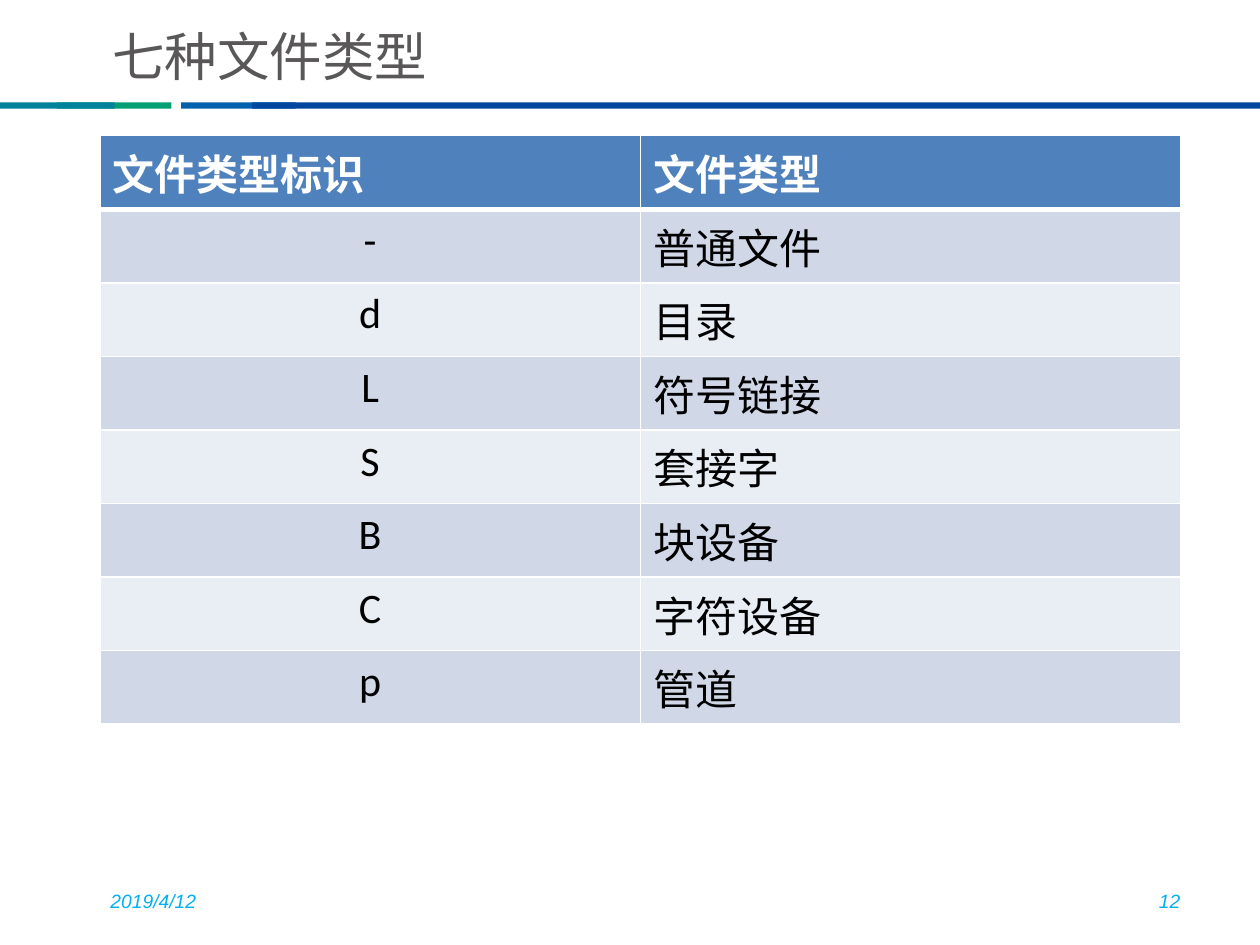
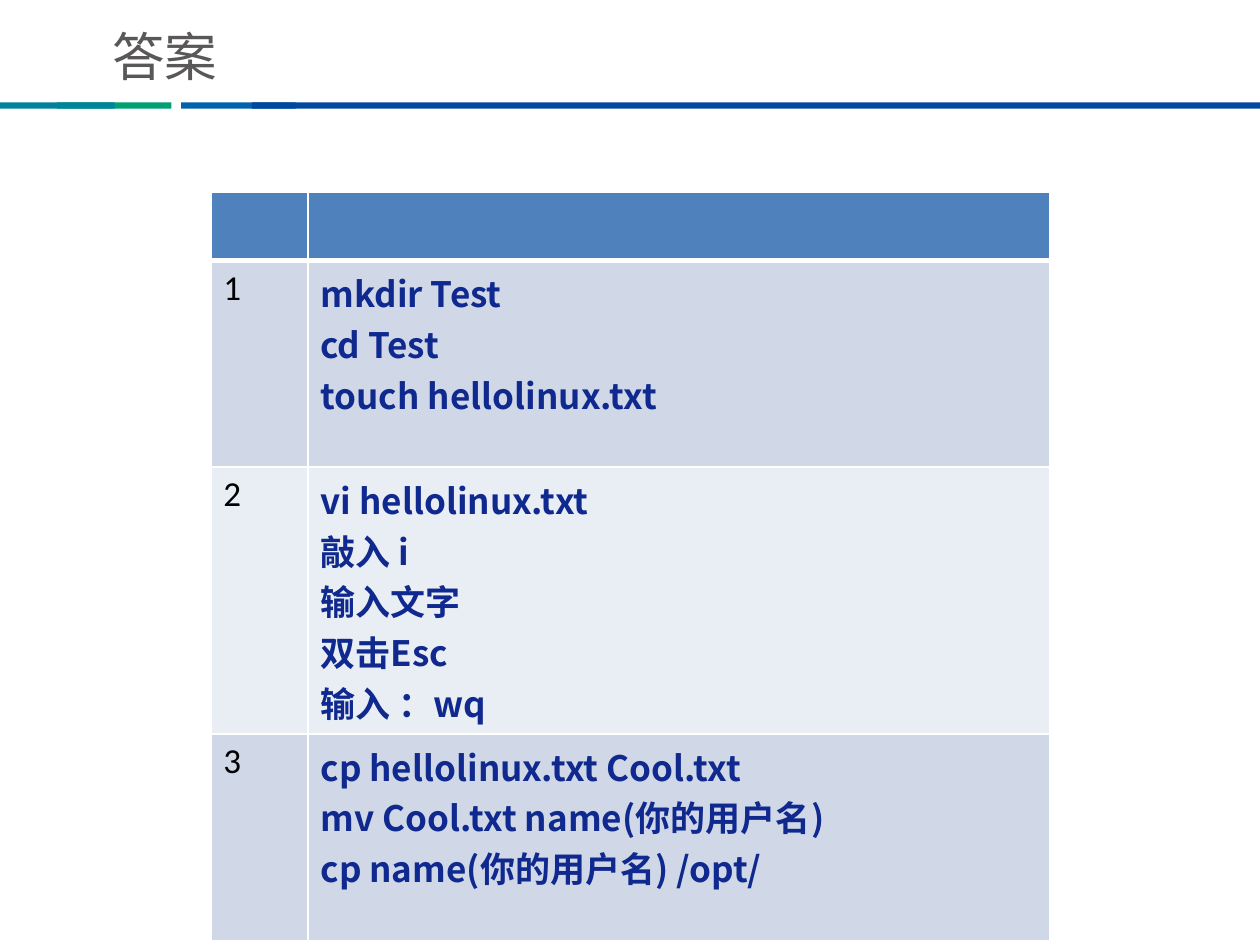
from dataclasses import dataclass

from lxml import etree
from pptx import Presentation
from pptx.dml.color import RGBColor
from pptx.enum import shapes, text
from pptx.oxml import ns
from pptx.util import Pt

FILE_TYPES = [
    ("文件类型标识", "文件类型"),
    ("-", "普通文件"),
    ("d", "目录"),
    ("L", "符号链接"),
    ("S", "套接字"),
    ("B", "块设备"),
    ("C", "字符设备"),
    ("p", "管道"),
]
ANSWERS = [
    ["mkdir Test", "cd Test", "touch hellolinux.txt"],
    ["vi hellolinux.txt", "敲入 i", "输入文字", "双击Esc", "输入 ：wq"],
    ["cp hellolinux.txt Cool.txt", "mv Cool.txt name(你的用户名)",
     "cp name(你的用户名) /opt/"],
]
DATE, PAGE_NUMBER = "2019/4/12", "12"


@dataclass(frozen=True)
class Style:
    font: str
    size: int
    color: str
    bold: bool = False
    italic: bool = False


class Theme:
    cjk = "Noto Sans CJK SC"
    title = Style(cjk, 30, "595757")
    header = Style("Calibri", 24, "FFFFFF", bold=True)
    body = Style("Calibri", 24, "000000")
    number = Style("Calibri", 20, "000000")
    command = Style(cjk, 20, "10298E", bold=True)
    footer = Style("Arial", 11, "00B0F0", italic=True)
    header_fill = "4F81BD"
    row_fills = ("D0D8E8", "E9EDF4")
    border = "FFFFFF"
    # left, width, colour; back to front
    bands = [(32.5, 65.5, "00A073"), (103.5, 65.5, "0062AD"),
             (144, 576, "00479D"), (0, 65.5, "00819C")]
    band_top, band_height = 58.5, 3.6


def write(frame, lines, style, align=text.PP_ALIGN.LEFT):
    for index, line in enumerate(lines):
        para = frame.paragraphs[0] if index == 0 else frame.add_paragraph()
        para.alignment = align
        span = para.add_run()
        span.text = line
        font = span.font
        font.name, font.size = style.font, Pt(style.size)
        font.bold, font.italic = style.bold, style.italic
        font.color.rgb = RGBColor.from_string(style.color)
        east_asian = etree.SubElement(font._element, ns.qn("a:ea"))
        east_asian.set("typeface", Theme.cjk)


def add_page(deck, title):
    page = deck.slides.add_slide(deck.slide_layouts[5])
    for left, width, color in Theme.bands:
        band = page.shapes.add_shape(
            shapes.MSO_SHAPE.RECTANGLE, Pt(left), Pt(Theme.band_top),
            Pt(width), Pt(Theme.band_height))
        band.shadow.inherit = False
        band.fill.solid()
        band.fill.fore_color.rgb = RGBColor.from_string(color)
        band.line.fill.background()
    box = page.shapes.title
    box.left, box.top, box.width, box.height = Pt(57), Pt(12), Pt(430), Pt(39)
    box.text_frame.vertical_anchor = text.MSO_ANCHOR.MIDDLE
    write(box.text_frame, [title], Theme.title)
    return page


def add_footer(page, left, words, align):
    box = page.shapes.add_textbox(Pt(left), Pt(500.5), Pt(168), Pt(29))
    box.text_frame.word_wrap = True
    box.text_frame.vertical_anchor = text.MSO_ANCHOR.MIDDLE
    write(box.text_frame, [words], Theme.footer, align)


def add_border(cell, side, width):
    properties = cell._tc.get_or_add_tcPr()
    line = etree.SubElement(properties, ns.qn(f"a:ln{side}"), w=str(Pt(width)))
    fill = etree.SubElement(line, ns.qn("a:solidFill"))
    etree.SubElement(fill, ns.qn("a:srgbClr"), val=Theme.border)


def add_banded_table(page, left, top, widths, heights):
    """Add a table with a blue header row, banded body rows and white rules."""
    table = page.shapes.add_table(
        len(heights), len(widths), Pt(left), Pt(top),
        Pt(sum(widths)), Pt(sum(heights))).table
    table.first_row = table.horz_banding = False
    for column, width in zip(table.columns, widths):
        column.width = Pt(width)
    for index, (row, height) in enumerate(zip(table.rows, heights)):
        row.height = Pt(height)
        color = Theme.row_fills[(index - 1) % 2] if index else Theme.header_fill
        for cell in row.cells:
            for side in "LRTB":
                thick = (index, side) in ((0, "B"), (1, "T"))
                add_border(cell, side, 3 if thick else 1)
            cell.fill.solid()
            cell.fill.fore_color.rgb = RGBColor.from_string(color)
    return table


def add_file_types(deck):
    page = add_page(deck, "七种文件类型")
    table = add_banded_table(page, 57, 77.5, [309, 309], [42] * len(FILE_TYPES))
    for row, words in enumerate(FILE_TYPES):
        for column, word in enumerate(words):
            centred = row > 0 and column == 0
            write(table.cell(row, column).text_frame, [word],
                  Theme.body if row else Theme.header,
                  text.PP_ALIGN.CENTER if centred else text.PP_ALIGN.LEFT)
    add_footer(page, 56, DATE, text.PP_ALIGN.LEFT)
    add_footer(page, 513.5, PAGE_NUMBER, text.PP_ALIGN.RIGHT)


def add_answers(deck):
    page = add_page(deck, "答案")
    table = add_banded_table(page, 120.5, 110, [55.5, 424], [39, 118, 152.5, 118])
    for number, commands in enumerate(ANSWERS, start=1):
        write(table.cell(number, 0).text_frame, [str(number)], Theme.number)
        write(table.cell(number, 1).text_frame, commands, Theme.command)


def main():
    deck = Presentation()
    deck.slide_width, deck.slide_height = Pt(720), Pt(540)
    add_file_types(deck)
    add_answers(deck)
    deck.save("out.pptx")


if __name__ == "__main__":
    main()
